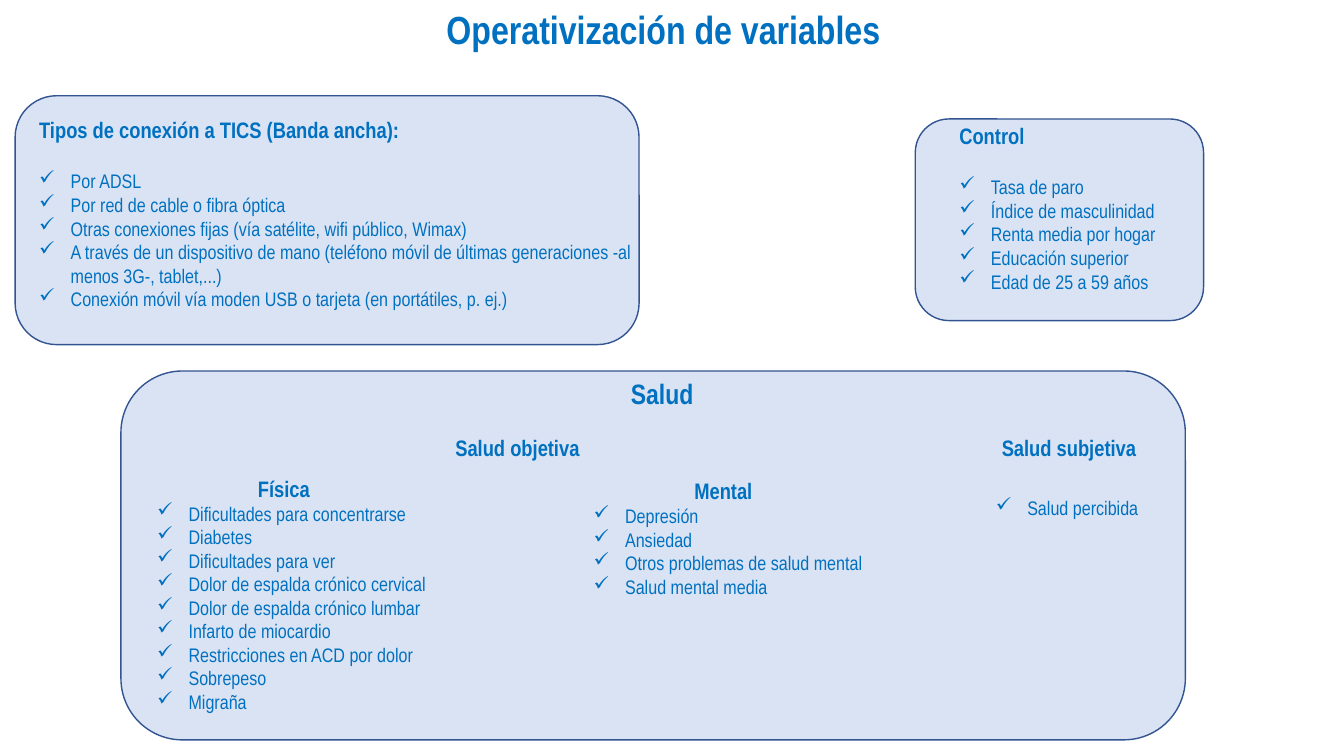
from lxml import etree
from pptx import Presentation
from pptx.dml.color import RGBColor
from pptx.enum.shapes import MSO_SHAPE
from pptx.enum.text import MSO_ANCHOR, MSO_AUTO_SIZE, PP_ALIGN
from pptx.oxml.ns import qn
from pptx.util import Pt

ROUNDED = MSO_SHAPE.ROUNDED_RECTANGLE
TOP, NO_FIT = MSO_ANCHOR.TOP, MSO_AUTO_SIZE.NONE
LEFT, CENTER = PP_ALIGN.LEFT, PP_ALIGN.CENTER

COLORS = {"text": "0070C0", "panel": "DAE3F3", "border": "325491"}
FONT = "Arial Narrow"
SIZES = {"title": 28, "section": 20, "heading": 16, "item": 14}
BULLET, BULLET_INDENT, HEADING_INDENT = "✓", 22.5, 72

TITLE = ("Operativización de variables", (258.5, 0, 430.6, 41))

PANELS = [
    {
        "box": (10.8, 68.4, 445.7, 177.8),
        "texts": [
            ((20.9, 79.2, 352, 26.6), "heading", 0, "Tipos de conexión a TICS (Banda ancha):", []),
            ((20.9, 117.4, 445.7, 108.7), None, 0, "", [
                "Por ADSL",
                "Por red de cable o fibra óptica",
                "Otras conexiones fijas (vía satélite, wifi público, Wimax)",
                "A través de un dispositivo de mano (teléfono móvil de últimas generaciones -al menos 3G-, tablet,...)",
                "Conexión móvil vía moden USB o tarjeta (en portátiles, p. ej.)",
            ]),
        ],
    },
    {
        "box": (653.8, 85, 205.9, 144),
        "texts": [
            ((678.2, 83.5, 80, 26.6), "heading", 0, "Control", []),
            ((678.2, 121.7, 224.6, 92.2), None, 0, "", [
                "Tasa de paro",
                "Índice de masculinidad",
                "Renta media por hogar",
                "Educación superior",
                "Edad de 25 a 59 años",
            ]),
        ],
    },
    {
        "box": (86.4, 265, 760.3, 263.5),
        "texts": [
            ((443.5, 265.7, 64.8, 31.7), "section", 0, "Salud", []),
            ((318.2, 306.7, 116, 26.6), "heading", 0, "Salud objetiva", []),
            ((708.5, 306.7, 116, 26.6), "heading", 0, "Salud subjetiva", []),
            ((105.1, 335.5, 298.8, 179.3), "heading", HEADING_INDENT, "Física", [
                "Dificultades para concentrarse",
                "Diabetes",
                "Dificultades para ver",
                "Dolor de espalda crónico cervical",
                "Dolor de espalda crónico lumbar",
                "Infarto de miocardio",
                "Restricciones en ACD por dolor",
                "Sobrepeso",
                "Migraña",
            ]),
            ((416.9, 337.5, 298.8, 118), "heading", HEADING_INDENT, "Mental", [
                "Depresión",
                "Ansiedad",
                "Otros problemas de salud mental",
                "Salud mental media",
            ]),
            ((704.2, 350.9, 124.6, 24), None, 0, "", ["Salud percibida"]),
        ],
    },
]


def color(name):
    return RGBColor.from_string(COLORS[name])


def set_all(target, values):
    for name, value in values.items():
        setattr(target, name, value)


def format_frame(frame):
    set_all(frame, {
        "word_wrap": True, "auto_size": NO_FIT, "vertical_anchor": TOP,
        "margin_left": Pt(7.2), "margin_right": Pt(7.2),
        "margin_top": Pt(3.6), "margin_bottom": Pt(3.6),
    })


def write(paragraph, text, level, alignment=LEFT):
    paragraph.alignment = alignment
    run = paragraph.add_run()
    run.text = text
    set_all(run.font, {"name": FONT, "size": Pt(SIZES[level]), "bold": level != "item"})
    run.font.color.rgb = color("text")


def indent(paragraph, left, first=0):
    properties = paragraph._p.get_or_add_pPr()
    properties.set("marL", str(Pt(left)))
    properties.set("indent", str(Pt(first)))
    return properties


def add_text(shapes, box, level, heading_indent, heading, items):
    frame = shapes.add_textbox(*map(Pt, box)).text_frame
    format_frame(frame)
    lines = [(heading, level)] if heading else []
    lines += [(item, "item") for item in items]
    for index, (text, line_level) in enumerate(lines):
        paragraph = frame.add_paragraph() if index else frame.paragraphs[0]
        write(paragraph, text, line_level)
        if line_level == "item":
            properties = indent(paragraph, BULLET_INDENT, -BULLET_INDENT)
            etree.SubElement(properties, qn("a:buChar")).set("char", BULLET)
        else:
            indent(paragraph, heading_indent)


def add_panel(slide, panel):
    shapes = slide.shapes.add_group_shape().shapes
    shape = shapes.add_shape(ROUNDED, *map(Pt, panel["box"]))
    shape.shadow.inherit = False
    shape.fill.solid()
    shape.fill.fore_color.rgb = color("panel")
    shape.line.color.rgb = color("border")
    shape.line.width = Pt(1)
    for text in panel["texts"]:
        add_text(shapes, *text)


def main():
    presentation = Presentation()
    set_all(presentation, {"slide_width": Pt(960), "slide_height": Pt(540)})
    slide = presentation.slides.add_slide(presentation.slide_layouts[5])
    title = slide.shapes.title
    text, box = TITLE
    set_all(title, dict(zip(("left", "top", "width", "height"), map(Pt, box))))
    format_frame(title.text_frame)
    write(title.text_frame.paragraphs[0], text, "title", CENTER)
    for panel in PANELS:
        add_panel(slide, panel)
    presentation.save("out.pptx")


if __name__ == "__main__":
    main()
